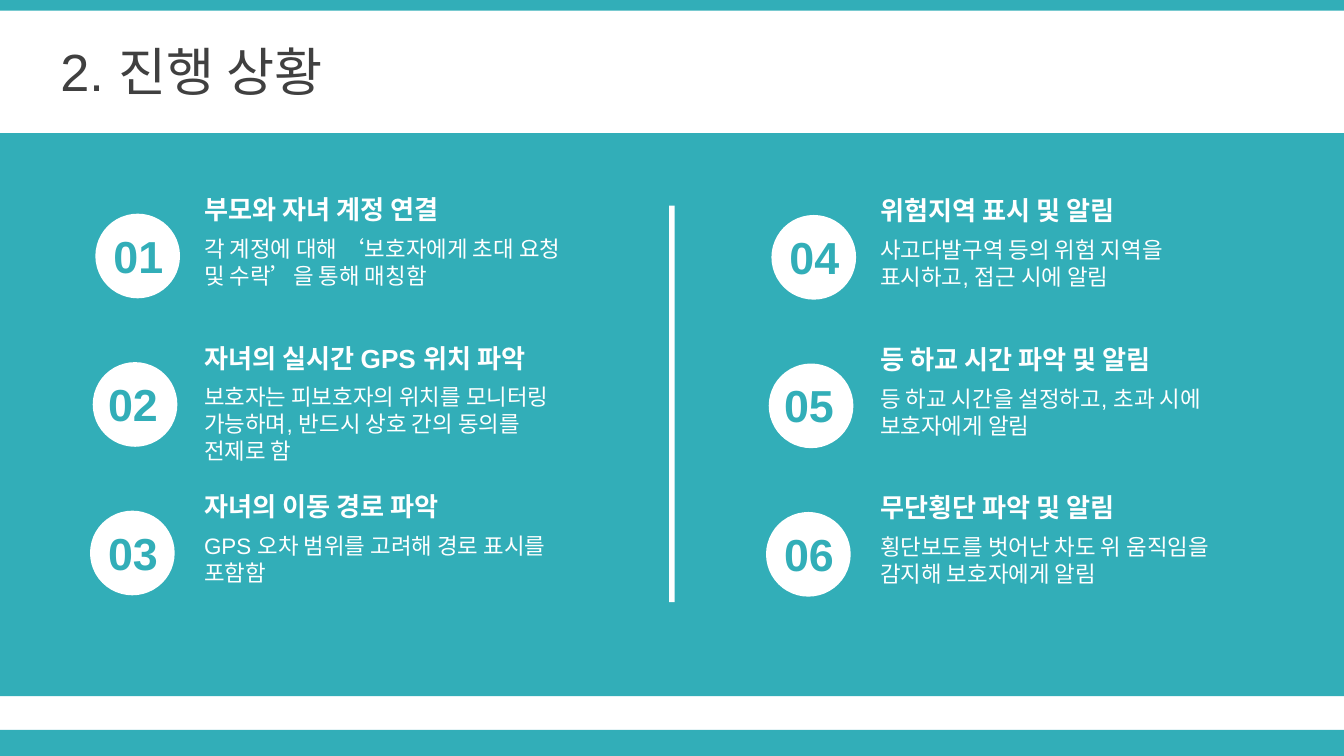
"""Build the progress slide: six numbered items in two columns."""
from pptx import Presentation
from pptx.dml.color import RGBColor
from pptx.enum.shapes import MSO_SHAPE as Shape
from pptx.enum.text import MSO_ANCHOR as Anchor, PP_ALIGN as Align
from pptx.util import Inches, Pt

TEAL = RGBColor(0x32, 0xAE, 0xB8)
WHITE = RGBColor(0xFF, 0xFF, 0xFF)
GRAY = RGBColor(0x40, 0x40, 0x40)
FONT = "Arial"
WIDE, HIGH = 10, 5.625

TITLE = "2. 진행 상황"
ITEMS = [
    ("부모와 자녀 계정 연결",
     "각 계정에 대해 ‘보호자에게 초대 요청 및 수락’을 통해 매칭함"),
    ("자녀의 실시간 GPS 위치 파악",
     "보호자는 피보호자의 위치를 모니터링 가능하며, 반드시 상호 간의 동의를 전제로 함"),
    ("자녀의 이동 경로 파악",
     "GPS 오차 범위를 고려해 경로 표시를 포함함"),
    ("위험지역 표시 및 알림",
     "사고다발구역 등의 위험 지역을 표시하고, 접근 시에 알림"),
    ("등 하교 시간 파악 및 알림",
     "등 하교 시간을 설정하고, 초과 시에 보호자에게 알림"),
    ("무단횡단 파악 및 알림",
     "횡단보도를 벗어난 차도 위 움직임을 감지해 보호자에게 알림"),
]
BANDS = [(0, 0.08), (0.99, 4.19), (5.43, HIGH - 5.43)]
ROWS = 3
LEFT, TOP = 0.71, 1.39
COL, ROW = 5.03, 1.105
DROP = 0.01
LEAN = 0.02
DISC = 0.63
TEXT_X, TEXT_W = 1.42, 2.91
NUM_X = [0.68, 0.64, 0.64]


def add_form(slide, kind, x, y, w, h, color):
    form = slide.shapes.add_shape(kind, Inches(x), Inches(y), Inches(w), Inches(h))
    form.shadow.inherit = False
    form.fill.solid()
    form.fill.fore_color.rgb = color
    form.line.fill.background()


def add_text(slide, text, x, y, w, h, size, color, bold=False,
             align=Align.LEFT, anchor=Anchor.TOP):
    box = slide.shapes.add_textbox(Inches(x), Inches(y), Inches(w), Inches(h))
    frame = box.text_frame
    frame.word_wrap = True
    frame.vertical_anchor = anchor
    para = frame.paragraphs[0]
    para.alignment = align
    run = para.add_run()
    run.text = text
    font = run.font
    font.name, font.size, font.bold = FONT, Pt(size), bold
    font.color.rgb = color


def add_item(slide, index, head, body):
    col, row = divmod(index, ROWS)
    shift = col * COL
    y = TOP + row * ROW + col * DROP
    add_form(slide, Shape.OVAL, LEFT + shift - row * LEAN, y + 0.2, DISC, DISC, WHITE)
    add_text(slide, body, TEXT_X + shift, y + 0.31, TEXT_W, 0.5, 12, WHITE)
    add_text(slide, head, TEXT_X + shift, y, TEXT_W, 0.34, 14, WHITE, True)
    add_text(slide, f"{index + 1:02}", NUM_X[row] + shift, y + 0.26, 0.7, 0.5,
             24, TEAL, True, Align.CENTER)


def main():
    deck = Presentation()
    deck.slide_width, deck.slide_height = Inches(WIDE), Inches(HIGH)
    slide = deck.slides.add_slide(deck.slide_layouts[6])
    for y, h in BANDS:
        add_form(slide, Shape.RECTANGLE, 0, y, WIDE, h, TEAL)
    for index, (head, body) in enumerate(ITEMS):
        add_item(slide, index, head, body)
    add_form(slide, Shape.RECTANGLE, WIDE / 2 - 0.02, 1.53, 0.04, 2.95, WHITE)
    add_text(slide, TITLE, 0.35, 0.21, 8.98, 0.63, 28, GRAY, anchor=Anchor.MIDDLE)
    deck.save("out.pptx")


if __name__ == "__main__":
    main()
